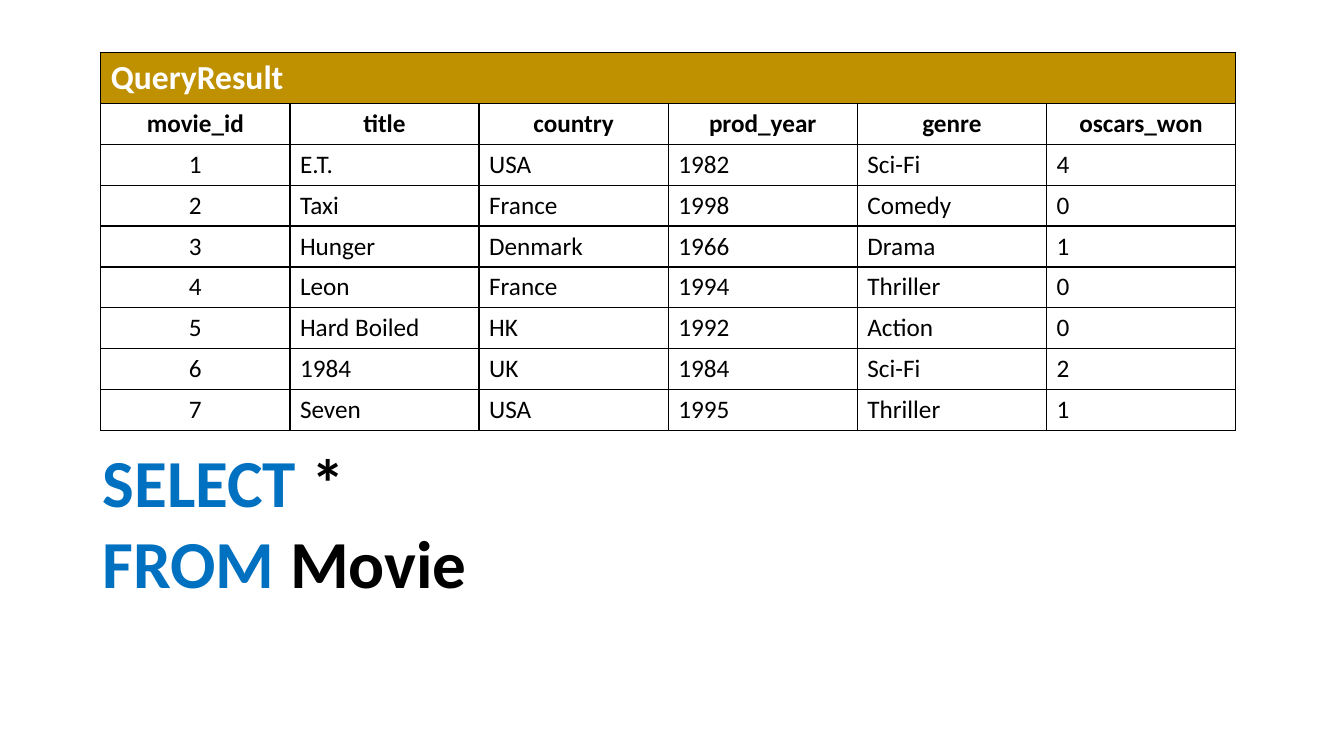
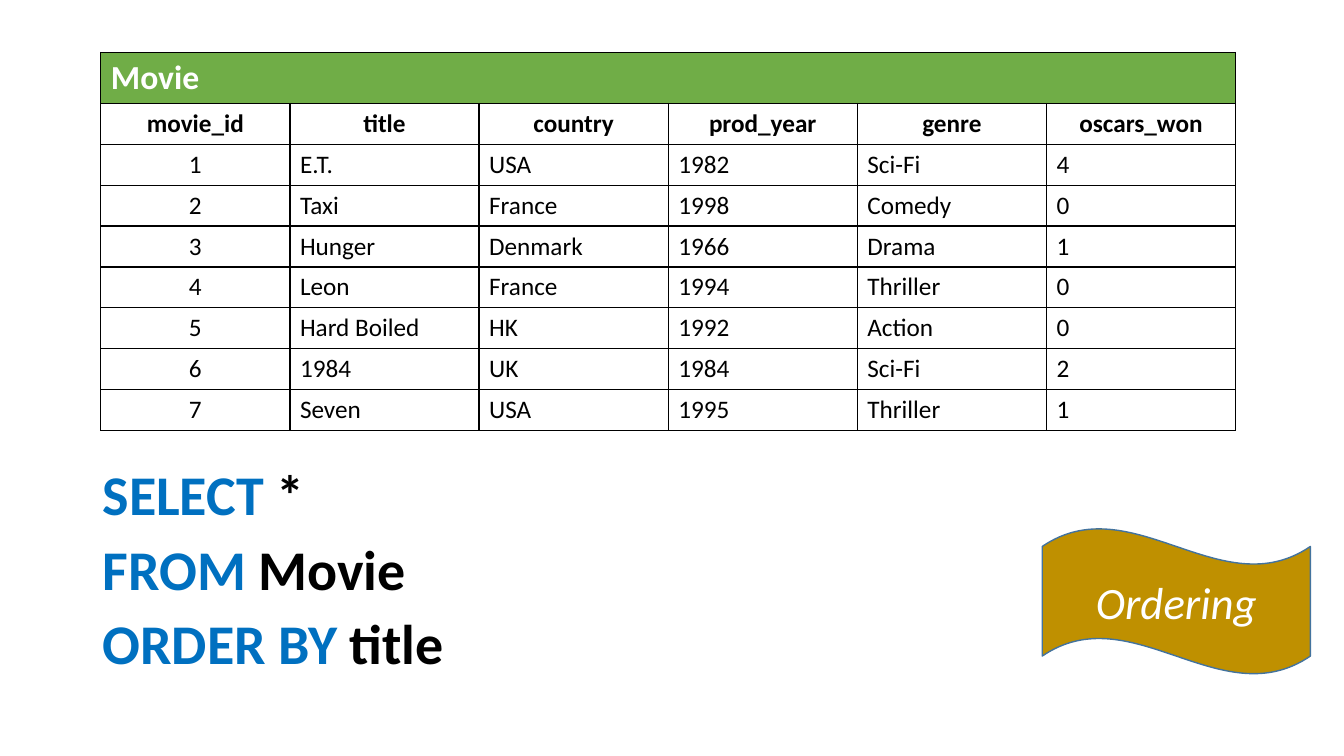
"""Build two slides that show a movie table with an SQL query below it."""
from dataclasses import dataclass

from lxml import etree
from pptx import Presentation
from pptx.dml.color import RGBColor
from pptx.enum.shapes import MSO_SHAPE
from pptx.enum.text import MSO_ANCHOR, PP_ALIGN
from pptx.oxml.ns import qn
from pptx.slide import Slide
from pptx.table import _Cell
from pptx.util import Pt

WAVE = MSO_SHAPE.WAVE
MIDDLE = MSO_ANCHOR.MIDDLE
LEFT, CENTER = PP_ALIGN.LEFT, PP_ALIGN.CENTER

FONT = "Calibri"
COLORS = {
    "black": "000000",
    "white": "FFFFFF",
    "keyword": "0070C0",
    "gold": "BF9000",
    "green": "70AD47",
    "outline": "43739E",
}
BLANK_LAYOUT = 6
TABLE_LEFT, TABLE_TOP = 72, 37.5
COLUMN_WIDTH, BANNER_HEIGHT, ROW_HEIGHT = 135.12, 36.5, 29.17
QUERY_LEFT, QUERY_WIDTH = 66.24, 828

HEADINGS = ("movie_id", "title", "country", "prod_year", "genre", "oscars_won")
MOVIES = (
    ("1", "E.T.", "USA", "1982", "Sci-Fi", "4"),
    ("2", "Taxi", "France", "1998", "Comedy", "0"),
    ("3", "Hunger", "Denmark", "1966", "Drama", "1"),
    ("4", "Leon", "France", "1994", "Thriller", "0"),
    ("5", "Hard Boiled", "HK", "1992", "Action", "0"),
    ("6", "1984", "UK", "1984", "Sci-Fi", "2"),
    ("7", "Seven", "USA", "1995", "Thriller", "1"),
)


@dataclass(frozen=True)
class Style:
    size: float
    color: str = "black"
    bold: bool = False
    italic: bool = False


@dataclass(frozen=True)
class Query:
    top: float
    height: float
    size: float
    gap: float
    clauses: tuple[tuple[str, str], ...]


@dataclass(frozen=True)
class Page:
    table_name: str
    banner_color: str
    query: Query
    topic: str = ""


BANNER = Style(24, "white", bold=True)
HEADING = Style(18, bold=True)
BODY = Style(18)
TOPIC = Style(32, "white", italic=True)

PAGES = (
    Page("QueryResult", "gold",
         Query(317.5, 209.5, 48, 6, (("SELECT", " *"), ("FROM", " Movie")))),
    Page("Movie", "green",
         Query(330.5, 185, 40, 10,
               (("SELECT", " *"), ("FROM", " Movie"), ("ORDER BY", " title"))),
         topic="Ordering"),
)


def rgb(name: str) -> RGBColor:
    return RGBColor.from_string(COLORS[name])


def add_span(para, text: str, style: Style) -> None:
    span = para.add_run()
    span.text = text
    span.font.name = FONT
    span.font.size = Pt(style.size)
    span.font.bold = style.bold
    span.font.italic = style.italic
    span.font.color.rgb = rgb(style.color)


def add_borders(cell: _Cell) -> None:
    properties = cell._tc.get_or_add_tcPr()
    for side in ("a:lnL", "a:lnR", "a:lnT", "a:lnB"):
        line = etree.SubElement(properties, qn(side), w=str(Pt(1)))
        fill = etree.SubElement(line, qn("a:solidFill"))
        etree.SubElement(fill, qn("a:srgbClr"), val=COLORS["black"])


def fill_cell(cell: _Cell, text: str, style: Style, alignment: PP_ALIGN) -> None:
    para = cell.text_frame.paragraphs[0]
    para.alignment = alignment
    add_span(para, text, style)


def add_movie_table(slide: Slide, page: Page) -> None:
    row_count, column_count = len(MOVIES) + 2, len(HEADINGS)
    height = BANNER_HEIGHT + ROW_HEIGHT * (row_count - 1)
    table = slide.shapes.add_table(
        row_count, column_count, Pt(TABLE_LEFT), Pt(TABLE_TOP),
        Pt(COLUMN_WIDTH * column_count), Pt(height)).table
    table.first_row = table.horz_banding = False
    for column in table.columns:
        column.width = Pt(COLUMN_WIDTH)
    for index, row in enumerate(table.rows):
        row.height = Pt(ROW_HEIGHT if index else BANNER_HEIGHT)
    for cell in table.iter_cells():
        add_borders(cell)
        cell.fill.background()

    banner = table.cell(0, 0)
    banner.merge(table.cell(0, column_count - 1))
    banner.fill.solid()
    banner.fill.fore_color.rgb = rgb(page.banner_color)
    fill_cell(banner, page.table_name, BANNER, LEFT)
    for column, heading in enumerate(HEADINGS):
        fill_cell(table.cell(1, column), heading, HEADING, CENTER)
    for row, movie in enumerate(MOVIES, start=2):
        for column, value in enumerate(movie):
            fill_cell(table.cell(row, column), value, BODY, LEFT if column else CENTER)


def add_query(slide: Slide, query: Query) -> None:
    box = slide.shapes.add_textbox(
        Pt(QUERY_LEFT), Pt(query.top), Pt(QUERY_WIDTH), Pt(query.height))
    frame = box.text_frame
    frame.word_wrap = True
    for index, (keyword, operand) in enumerate(query.clauses):
        para = frame.add_paragraph() if index else frame.paragraphs[0]
        para.line_spacing = 0.9
        if index:
            para.space_before = Pt(query.gap)
        add_span(para, keyword, Style(query.size, "keyword", bold=True))
        add_span(para, operand, Style(query.size, bold=True))


def add_topic(slide: Slide, topic: str) -> None:
    wave = slide.shapes.add_shape(WAVE, Pt(744.5), Pt(377.3), Pt(191.5), Pt(104.4))
    wave.shadow.inherit = False
    wave.fill.solid()
    wave.fill.fore_color.rgb = rgb("gold")
    wave.line.color.rgb = rgb("outline")
    wave.line.width = Pt(1)
    wave.text_frame.vertical_anchor = MIDDLE
    para = wave.text_frame.paragraphs[0]
    para.alignment = CENTER
    add_span(para, topic, TOPIC)


def main() -> None:
    deck = Presentation()
    deck.slide_width, deck.slide_height = Pt(960), Pt(540)
    for page in PAGES:
        slide = deck.slides.add_slide(deck.slide_layouts[BLANK_LAYOUT])
        add_query(slide, page.query)
        add_movie_table(slide, page)
        if page.topic:
            add_topic(slide, page.topic)
    deck.save("out.pptx")


if __name__ == "__main__":
    main()
